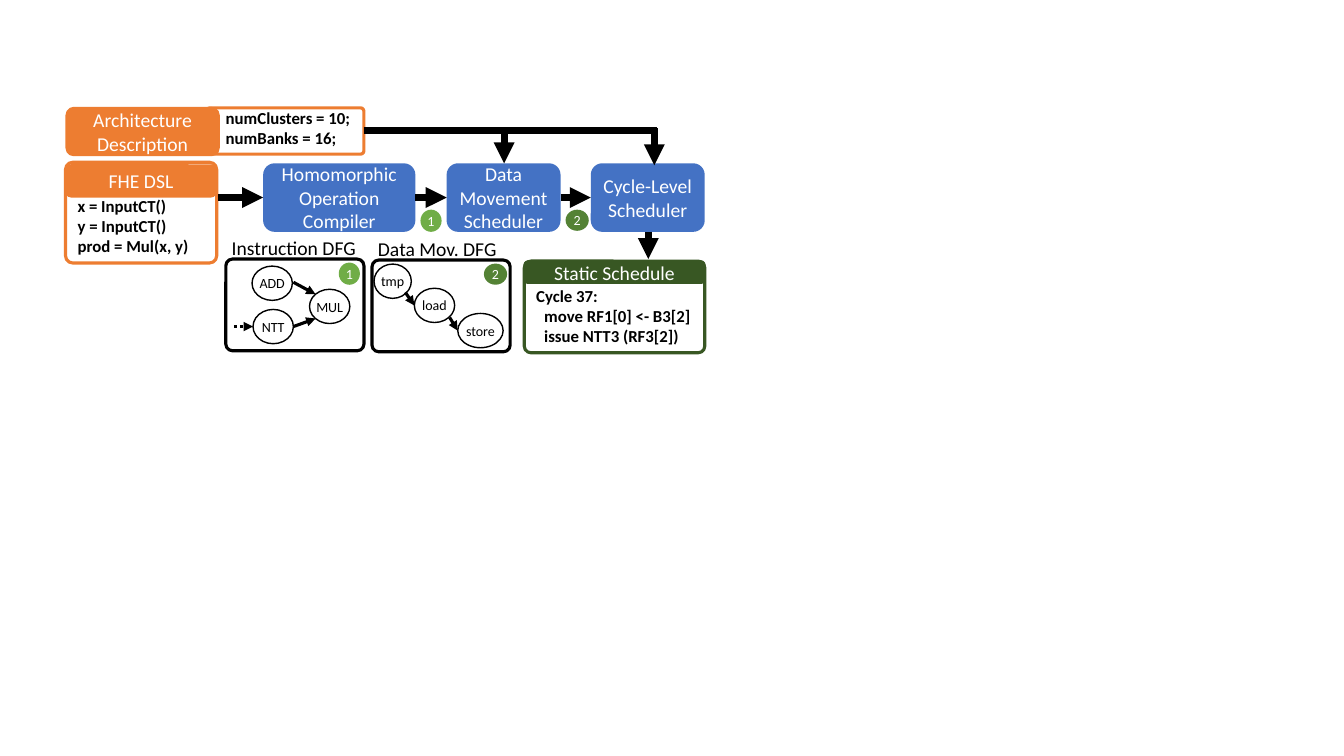
from lxml.etree import SubElement
from pptx import Presentation
from pptx.dml.color import RGBColor
from pptx.enum.dml import MSO_LINE
from pptx.enum.shapes import MSO_CONNECTOR, MSO_SHAPE
from pptx.enum.text import MSO_ANCHOR, PP_ALIGN
from pptx.oxml.ns import qn
from pptx.util import Inches, Pt

CELL = Inches(0.1)
BLUE, ORANGE, DARK_GREEN = "4472C4", "ED7D31", "385723"
BLACK, WHITE = "000000", "FFFFFF"
BADGES = {"1": ("70AD47", 2.1, 2.2), "2": ("548235", 2.3, 2.1)}


def paint(color_format, color):
    """Set a fill or font colour from a hex string."""
    color_format.rgb = RGBColor.from_string(color)


def place(box, left, top, width, height):
    """Turn a place inside a box into a place on the grid of the slide."""
    return box[0] + left, box[1] + top, width, height


def write(shape, lines, size, color=BLACK, bold=False, align=PP_ALIGN.LEFT):
    """Write one paragraph per line, all in one style."""
    frame = shape.text_frame
    frame.text = "\n".join(lines)
    for para in frame.paragraphs:
        para.alignment = align
        para.font.name, para.font.size, para.font.bold = "Calibri", Pt(size), bold
        paint(para.font.color, color)
    return frame


def add_block(page, box, kind=MSO_SHAPE.ROUNDED_RECTANGLE, fill=None, line=None, weight=1):
    """Add a preset shape on the grid."""
    shape = page.shapes.add_shape(kind, *(round(part * CELL) for part in box))
    shape.shadow.inherit = False
    if fill:
        shape.fill.solid()
        paint(shape.fill.fore_color, fill)
    else:
        shape.fill.background()
    if line:
        paint(shape.line.color, line)
        shape.line.width = Pt(weight)
    else:
        shape.line.fill.background()
    return shape


def add_label(page, box, text, fill, line=None, side=1):
    """Add a filled block with a centred white label."""
    shape = add_block(page, box, fill=fill, line=line)
    frame = write(shape, [text], 14, WHITE, align=PP_ALIGN.CENTER)
    frame.word_wrap = True
    frame.vertical_anchor = MSO_ANCHOR.MIDDLE
    frame.margin_left = frame.margin_right = round(side * CELL)


def add_panel(page, box, color, lines=()):
    """Add an outlined panel with bold code at its foot."""
    shape = add_block(page, box, line=color, weight=2.25)
    shape.adjustments[0] = 0.073
    frame = write(shape, lines, 12, bold=True)
    frame.word_wrap = True
    frame.vertical_anchor = MSO_ANCHOR.BOTTOM
    return frame


def add_oval(page, box, text, color=BLACK, **style):
    """Add an ellipse with a small centred word."""
    shape = add_block(page, box, MSO_SHAPE.OVAL, **style)
    frame = write(shape, [text], 10, color, align=PP_ALIGN.CENTER)
    frame.word_wrap = True
    frame.vertical_anchor = MSO_ANCHOR.MIDDLE
    frame.margin_left = frame.margin_right = frame.margin_top = frame.margin_bottom = 0


def add_badge(page, box, left, top, number):
    """Add the green badge that ties a step to its graph."""
    fill, width, height = BADGES[number]
    add_oval(page, place(box, left, top, width, height), number, WHITE, fill=fill)


def add_arrow(page, box, start, end, weight=5, dotted=False, head=True):
    """Add a black line inside a box, with an arrowhead if wanted."""
    points = [round((box[axis] + point[axis]) * CELL) for point in (start, end) for axis in (0, 1)]
    arrow = page.shapes.add_connector(MSO_CONNECTOR.STRAIGHT, *points)
    paint(arrow.line.color, BLACK)
    arrow.line.width = Pt(weight)
    if dotted:
        arrow.line.dash_style = MSO_LINE.ROUND_DOT
    if head:
        SubElement(arrow.line._get_or_add_ln(), qn("a:tailEnd"), type="triangle")
    SubElement(arrow._element.spPr, qn("a:effectLst"))


def add_inputs(page, box):
    """Add the architecture description and the DSL program."""
    add_label(page, place(box, 0, 0, 15.3, 4.9), "Architecture Description", ORANGE)
    frame = add_panel(page, place(box, 14, 0.1, 15.6, 4.6), ORANGE,
                      ["numClusters = 10;", "numBanks = 16;"])
    frame.margin_left = Inches(0.18)
    add_panel(page, place(box, 0, 5.5, 15, 10), ORANGE,
              ["x = InputCT()", "y = InputCT()", "prod = Mul(x, y)"])
    add_label(page, place(box, 0, 5.7, 15, 3.3), "FHE DSL", ORANGE)


def add_pipeline(page, box):
    """Add the three compiler steps, their arrows and the configuration bus."""
    steps = [("Homomorphic Operation Compiler", 4.5, 15.1, 1),
             ("Data Movement Scheduler", 22.7, 11.3, 0),
             ("Cycle-Level Scheduler", 37, 11.3, 0)]
    previous = 0
    for text, left, width, side in steps:
        add_label(page, place(box, left, 3.3, width, 6.8), text, BLUE, side=side)
        add_arrow(page, box, (previous, 6.7), (left, 6.7))
        previous = left + width
    add_badge(page, box, 20.1, 7.9, "1")
    add_badge(page, box, 34.5, 7.9, "2")
    add_arrow(page, box, (14.5, 0), (43.6, 0), head=False)
    add_arrow(page, box, (28.4, 0.2), (28.4, 3.3))
    add_arrow(page, box, (43.3, -0.2), (43.3, 3.5))
    add_arrow(page, box, (42.7, 10.1), (42.7, 12.8))


def add_graph(page, box, title, title_place, number, badge_left, nodes, edges):
    """Add a titled panel with a small data flow graph."""
    add_panel(page, box, BLACK)
    caption = page.shapes.add_textbox(*(round(part * CELL) for part in place(box, *title_place)))
    write(caption, [title], 14).word_wrap = False
    for text, left, top, width in nodes:
        add_oval(page, place(box, left, top, width, 3.4), text, line=BLACK)
    for start, end, dotted in edges:
        add_arrow(page, box, start, end, 2.25, dotted)
    add_badge(page, box, badge_left, 0.35, number)


def add_schedule(page, box):
    """Add the resulting static schedule."""
    frame = add_panel(page, box, DARK_GREEN,
                      ["Cycle 37:", "move RF1[0] <- B3[2]", "issue NTT3 (RF3[2])"])
    for para in frame.paragraphs[1:]:
        para._p.get_or_add_pPr().set("marL", str(Inches(0.08)))
    add_label(page, place(box, 0, 0, box[2], 2.2), "Static Schedule", DARK_GREEN, DARK_GREEN)


deck = Presentation()
deck.slide_width, deck.slide_height = Inches(13.33), Inches(7.5)
page = deck.slides.add_slide(deck.slide_layouts[6])
add_inputs(page, (6.5, 10.6, 29.6, 15.5))
add_pipeline(page, (21.6, 12.9, 48.3, 12.8))
add_graph(page, (22.4, 25.7, 13.7, 9.1), "Instruction DFG", (-0.4, -2.8, 14.5, 3.4), "1", 11.2,
          [("ADD", 2.6, 0.7, 4), ("NTT", 2.7, 5, 4), ("MUL", 8.3, 3, 4)],
          [((6.7, 2.3), (8.9, 3.5), False), ((6.7, 6.7), (8.9, 5.9), False),
           ((0.8, 6.7), (2.7, 6.7), True)])
add_graph(page, (36.9, 25.8, 13.7, 9.1), "Data Mov. DFG", (-0.4, -2.8, 13.9, 3.4), "2", 11.1,
          [("tmp", 0.2, 0.4, 3.7), ("load", 4.2, 2.8, 4), ("store", 8.5, 5.3, 4.5)],
          [((3.3, 3.2), (4.2, 4.5), False), ((7.7, 5.7), (8.5, 7), False)])
add_schedule(page, (52, 25.9, 17.9, 9.1))
deck.save("out.pptx")
